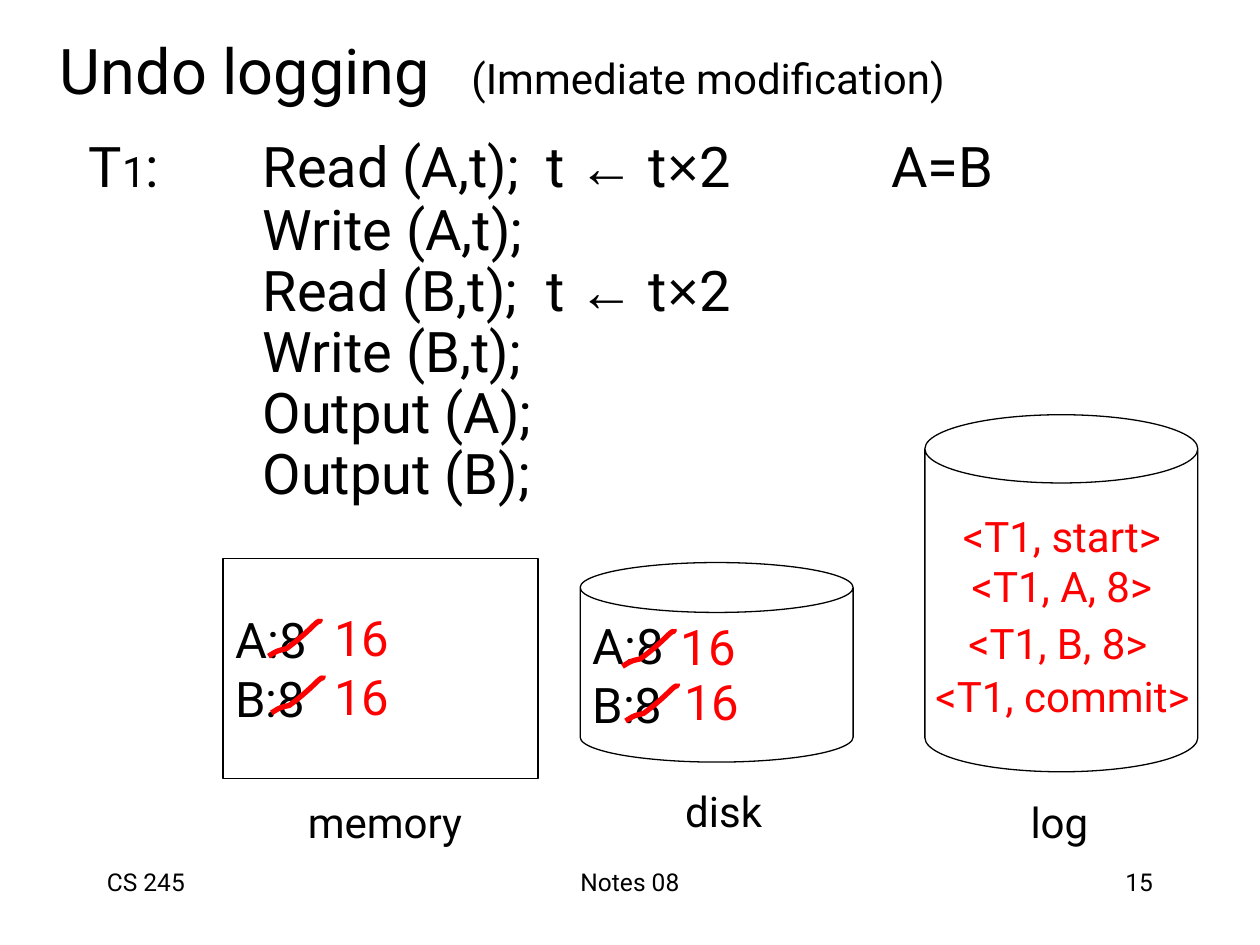
from dataclasses import dataclass
from itertools import groupby

from lxml import etree
from pptx import Presentation
from pptx.dml.color import RGBColor
from pptx.enum import shapes, text
from pptx.oxml.ns import qn
from pptx.util import Pt


@dataclass(frozen=True)
class Theme:
    font: str = "Roboto"
    symbol_font: str = "Arial"
    ink: RGBColor = RGBColor(0, 0, 0)
    paper: RGBColor = RGBColor(255, 255, 255)
    change: RGBColor = RGBColor(255, 0, 0)
    title: int = 36
    code: int = 32
    value: int = 28
    label: int = 24
    footer: int = 14


THEME = Theme()
LEFT, CENTER, RIGHT = text.PP_ALIGN.LEFT, text.PP_ALIGN.CENTER, text.PP_ALIGN.RIGHT

# Content: boxes are (left, top, width, height) in points
TITLE = [("Undo logging", THEME.title), ("\t(Immediate modification)", THEME.label)]
TITLE_BOX, TITLE_TABS = (27, 14.4, 560, 50.4), [235.2]

STEPS = [
    [("T", THEME.code), ("1", THEME.label),
     (":\tRead (A,t);\tt ← t×2\tA=B", THEME.code)],
    [("\tWrite (A,t);", THEME.code)],
    [("\tRead (B,t);\tt ← t×2", THEME.code)],
    [("\tWrite (B,t);", THEME.code)],
    [("\tOutput (A);", THEME.code)],
    [("\tOutput (B);", THEME.code)],
]
STEPS_BOX, STEPS_TABS = (43.6, 79.2, 612, 408), [99.4, 261.4, 458.7]

RECT, CAN = shapes.MSO_SHAPE.RECTANGLE, shapes.MSO_SHAPE.CAN
STORES = [
    (RECT, (127.5, 319, 180, 126), ["A:8", "B:8"]),
    (CAN, (331.5, 321.5, 156, 114), ["A:8", "B:8"]),
    (CAN, (528.5, 237, 156, 204), []),
]
STORE_LABELS = [
    ("memory", (165.3, 451.5, 109.4, 36)),
    ("disk", (383.6, 445, 59.8, 36)),
    ("log", (580.5, 451.5, 49.7, 36)),
]
NEW_VALUES = [
    (["16", "16"], (183.8, 343.4, 46, 75)),
    (["16"], (381.6, 348.5, 46, 41)),
    (["16"], (383.8, 380.2, 46, 41)),
]
LOG_RECORDS = [
    (["<T1, start>", "<T1, A, 8>"], (539.8, 288, 134, 65)),
    (["<T1, B, 8>"], (543, 349.2, 123, 36)),
    (["<T1, commit>"], (523.7, 379.4, 167, 36)),
]
FOOTERS = [
    ("CS 245", (54, 492, 150, 36), LEFT),
    ("Notes 08", (246, 492, 228, 36), CENTER),
    ("15", (516, 492, 150, 36), RIGHT),
]

# Strike-out stroke: start, then three points for each cubic curve
STRIKE = [
    (0, 22),
    (1.4, 21.5), (2.2, 20.3), (3.6, 19.8),
    (5.8, 18.5), (10.1, 17.8), (10.1, 17.8),
    (15.8, 13.7), (21.6, 8.6), (25.9, 4.3),
    (30.2, 0), (29.5, 3.6), (29.5, 0.7),
]
STRIKES = [(153.4, 353), (155.1, 385.4), (355.7, 358.8), (357.5, 390)]


def set_tabs(paragraph, stops):
    tabs = etree.SubElement(paragraph._p.get_or_add_pPr(), qn("a:tabLst"))
    for stop in stops:
        etree.SubElement(tabs, qn("a:tab"), pos=str(Pt(stop)), algn="l")


def add_runs(paragraph, pieces):
    """Add (text, size) pieces, with arrows and signs in the symbol font."""
    for words, size in pieces:
        for is_symbol, letters in groupby(words, lambda letter: letter in "←×"):
            run = paragraph.add_run()
            run.text = "".join(letters)
            run.font.name = THEME.symbol_font if is_symbol else THEME.font
            run.font.size = Pt(size)
            run.font.color.rgb = THEME.ink


def write_lines(frame, lines, size, color, align):
    frame.text = "\n".join(lines)
    for paragraph in frame.paragraphs:
        paragraph.alignment = align
        for run in paragraph.runs:
            run.font.name = THEME.font
            run.font.size = Pt(size)
            run.font.color.rgb = color


def add_text(slide, lines, box, size, color=THEME.ink, align=CENTER, fitted=True):
    frame = slide.shapes.add_textbox(*map(Pt, box)).text_frame
    frame.word_wrap = not fitted
    if fitted:
        frame.auto_size = text.MSO_AUTO_SIZE.SHAPE_TO_FIT_TEXT
        frame.vertical_anchor = text.MSO_ANCHOR.MIDDLE
    write_lines(frame, lines, size, color, align)


def add_title(slide):
    title = slide.shapes.title
    title.left, title.top, title.width, title.height = map(Pt, TITLE_BOX)
    frame = title.text_frame
    frame.word_wrap = False
    frame.auto_size = text.MSO_AUTO_SIZE.NONE
    frame.vertical_anchor = text.MSO_ANCHOR.MIDDLE
    heading = frame.paragraphs[0]
    heading.alignment = LEFT
    set_tabs(heading, TITLE_TABS)
    add_runs(heading, TITLE)


def add_steps(slide):
    frame = slide.shapes.add_textbox(*map(Pt, STEPS_BOX)).text_frame
    frame.word_wrap = True
    for number, pieces in enumerate(STEPS):
        step = frame.add_paragraph() if number else frame.paragraphs[0]
        step.line_spacing = 0.7 if number else 0.8
        if number:
            step.space_before = Pt(8)
        set_tabs(step, STEPS_TABS)
        add_runs(step, pieces)


def add_store(slide, kind, box, lines):
    store = slide.shapes.add_shape(kind, *map(Pt, box))
    store.shadow.inherit = False
    store.fill.solid()
    store.fill.fore_color.rgb = THEME.paper
    store.line.color.rgb = THEME.ink
    store.line.width = Pt(0.75)
    if lines:
        store.text_frame.word_wrap = False
        store.text_frame.vertical_anchor = text.MSO_ANCHOR.MIDDLE
        write_lines(store.text_frame, lines, THEME.value, THEME.ink, LEFT)


def add_strike(slide, left, top):
    start, *points = [(Pt(left + x), Pt(top + y)) for x, y in STRIKE]
    builder = slide.shapes.build_freeform(*start)
    builder.add_line_segments(points, close=False)
    strike = builder.convert_to_shape()
    strike.shadow.inherit = False
    strike.fill.background()
    strike.line.color.rgb = THEME.change
    strike.line.width = Pt(3)

    # Join each three segments into one cubic curve
    outline = next(strike._element.iter(qn("a:path")))
    segments = outline.findall(qn("a:lnTo"))
    for first in range(0, len(segments), 3):
        curve = etree.SubElement(outline, qn("a:cubicBezTo"))
        for segment in segments[first:first + 3]:
            curve.append(segment[0])
            outline.remove(segment)


def main():
    deck = Presentation()
    deck.slide_width, deck.slide_height = Pt(720), Pt(540)
    slide = deck.slides.add_slide(deck.slide_layouts[5])

    # Title and transaction steps
    add_title(slide)
    add_steps(slide)

    # Memory, disk and log
    for kind, box, lines in STORES:
        add_store(slide, kind, box, lines)
    for label, box in STORE_LABELS:
        add_text(slide, [label], box, THEME.label)

    # Changed values and log records
    for left, top in STRIKES:
        add_strike(slide, left, top)
    for lines, box in NEW_VALUES:
        add_text(slide, lines, box, THEME.value, THEME.change)
    for lines, box in LOG_RECORDS:
        add_text(slide, lines, box, THEME.label, THEME.change)

    # Footer
    for words, box, align in FOOTERS:
        add_text(slide, [words], box, THEME.footer, align=align, fitted=False)

    deck.save("out.pptx")


if __name__ == "__main__":
    main()
